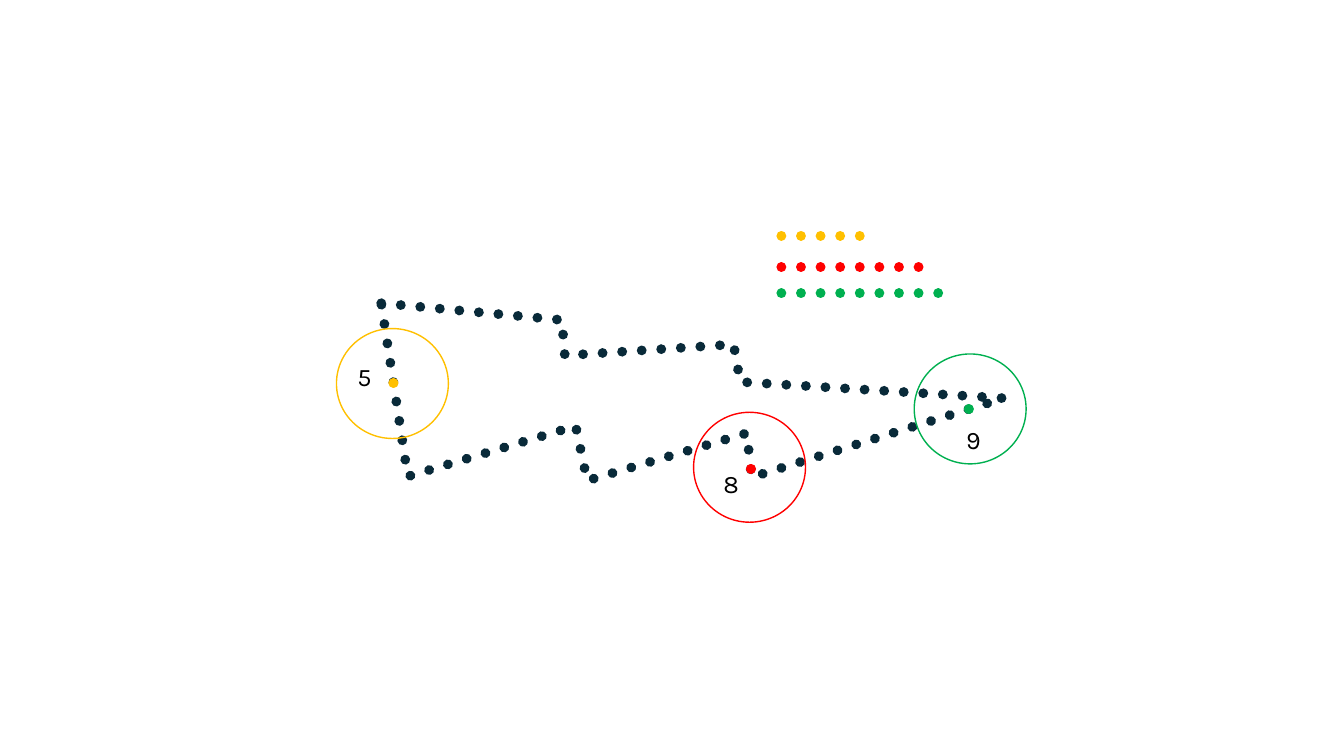
import dataclasses

import lxml.etree
import pptx
import pptx.dml.color
import pptx.enum.dml
import pptx.enum.shapes
import pptx.enum.text
import pptx.oxml.ns
import pptx.util

Cm = pptx.util.Cm
Pt = pptx.util.Pt
qn = pptx.oxml.ns.qn


@dataclasses.dataclass(frozen=True)
class Theme:
    navy: str = "092A39"
    amber: str = "FFC000"
    red: str = "FF0000"
    green: str = "00B050"
    black: str = "000000"
    font: str = "Karla"
    label_size: float = 18
    dot_width: float = 7
    ring_width: float = 1


@dataclasses.dataclass(frozen=True)
class Station:
    """A numbered stop on the bolt: ring, dot, label and row of dots (cm)."""
    number: int
    color: str
    ring: tuple[float, float]
    dot: tuple[float, float]
    label: tuple[float, float]
    label_width: float
    row_y: float
    row_end: float


THEME = Theme()
RING_SIZE = (2.82, 2.77)
LABEL_HEIGHT = 1.02
ROW_START = 19.69
DOT_LENGTH = 0.01
STATIONS = [
    Station(5, THEME.amber, (8.48, 8.28), (9.91, 9.65), (8.76, 8.97), 0.81, 5.94, 22.05),
    Station(8, THEME.red, (17.48, 10.39), (18.92, 11.81), (17.98, 11.68), 2.82, 6.73, 23.27),
    Station(9, THEME.green, (23.04, 8.92), (24.41, 10.31), (24.1, 10.57), 2.82, 7.39, 23.7),
]


def rgb(color: str) -> pptx.dml.color.RGBColor:
    return pptx.dml.color.RGBColor.from_string(color)


def style_line(sp, color: str, weight: float, dotted: bool = False,
               round_cap: bool = False) -> None:
    sp.line.color.rgb = rgb(color)
    sp.line.width = Pt(weight)
    if dotted:
        sp.line.dash_style = pptx.enum.dml.MSO_LINE.ROUND_DOT
    if round_cap:
        sp._element.spPr.find(qn("a:ln")).set("cap", "rnd")


def add_outline(shapes, kind, left: float, top: float, width: float, height: float,
                **line):
    sp = shapes.add_shape(kind, Cm(left), Cm(top), Cm(width), Cm(height))
    sp.shadow.inherit = False
    sp.fill.background()
    style_line(sp, **line)
    return sp


def add_stroke(shapes, x: float, y: float, end_x: float, color: str,
               dotted: bool = False) -> None:
    sp = shapes.add_connector(pptx.enum.shapes.MSO_CONNECTOR.STRAIGHT,
                              Cm(x), Cm(y), Cm(end_x), Cm(y))
    style_line(sp, color, THEME.dot_width, dotted, round_cap=True)
    lxml.etree.SubElement(sp._element.spPr, qn("a:effectLst"))


def add_text(shapes, text: str, *, left: float, top: float, width: float, height: float,
             size: float = THEME.label_size, color: str = THEME.black,
             font: str = THEME.font) -> None:
    sp = shapes.add_textbox(Cm(left), Cm(top), Cm(width), Cm(height))
    tf = sp.text_frame
    tf.word_wrap = True
    tf.auto_size = pptx.enum.text.MSO_AUTO_SIZE.SHAPE_TO_FIT_TEXT
    r = tf.paragraphs[0].add_run()
    r.text = text
    r.font.size = Pt(size)
    r.font.name = font
    r.font.color.rgb = rgb(color)


def main() -> None:
    prs = pptx.Presentation()
    prs.slide_width, prs.slide_height = Cm(33.87), Cm(19.05)
    slide = prs.slides.add_slide(prs.slide_layouts[6])
    group = slide.shapes.add_group_shape().shapes
    preset = pptx.enum.shapes.MSO_SHAPE

    # Dotted bolt
    bolt = add_outline(group, preset.LIGHTNING_BOLT, 12.14, 2.92, 8.94, 14.91,
                       color=THEME.navy, weight=THEME.dot_width, dotted=True,
                       round_cap=True)
    bolt.rotation = 298.7

    # Rings, then the station dots, then their numbers
    for st in STATIONS:
        add_outline(group, preset.OVAL, *st.ring, *RING_SIZE,
                    color=st.color, weight=THEME.ring_width)
    for st in STATIONS:
        add_stroke(group, *st.dot, st.dot[0] + DOT_LENGTH, st.color)
    for st in STATIONS:
        add_text(group, str(st.number), left=st.label[0], top=st.label[1],
                 width=st.label_width, height=LABEL_HEIGHT)

    # Rows of counting dots
    for st in STATIONS:
        add_stroke(slide.shapes, ROW_START, st.row_y, st.row_end, st.color, dotted=True)

    prs.save("out.pptx")


if __name__ == "__main__":
    main()
